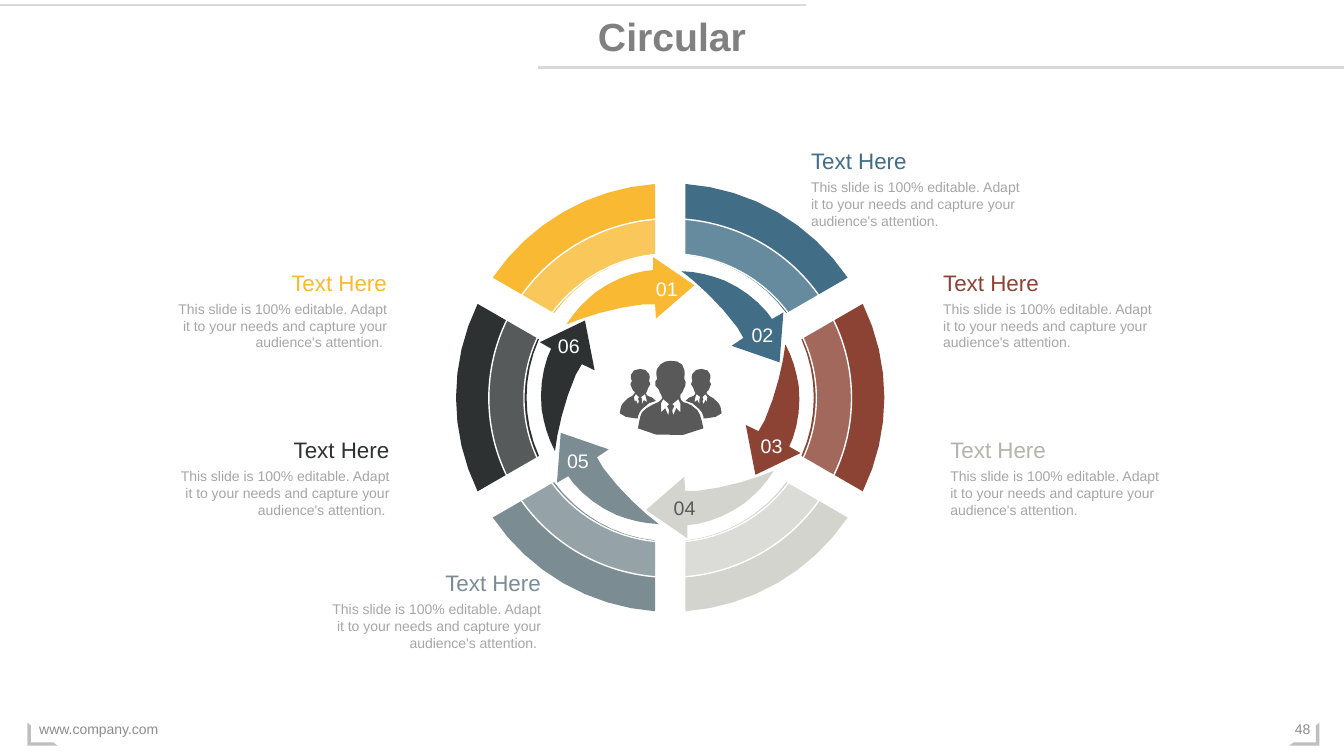
import math

import pptx
import pptx.dml.color
import pptx.enum.shapes
import pptx.enum.text
import pptx.oxml.ns
import pptx.util
from lxml import etree

Cm = pptx.util.Cm
SHAPES = pptx.enum.shapes.MSO_SHAPE
ALIGN = pptx.enum.text.PP_ALIGN
ANCHOR = pptx.enum.text.MSO_ANCHOR
qn = pptx.oxml.ns.qn

COLORS = {
    "yellow": "F9B932", "blue": "416E86", "red": "8D4334", "stone": "D3D4CE",
    "slate": "7B8C93", "black": "2E3131", "stone text": "B3B5AB",
    "white": "FFFFFF", "icon": "595959", "title": "808080", "body": "A6A6A6",
    "footer": "8C8C8C", "rule": "D9D9D9", "corner": "BFBFBF",
}
SLIDE_W, SLIDE_H = 33.87, 19.05
CENTER_X, CENTER_Y = 16.89, 10.02
GRID = 0.0254  # cm per unit of the outlines below
OUTER, INNER, HALF_GAP = 212.5, 142.5, 15
ARC_STEPS = 8
ICON_W, ICON_SHIFT = 101, (-50, -36.5)
MESSAGE = ("This slide is 100% editable. Adapt it to your needs "
           "and capture your audience's attention.")

# Outlines: a pair is a corner, six numbers are a Bézier curve.
ARROW = [
    (-17, -139.5), (24, -111.5), (-14, -78.5), (-15, -92.5), (-27, -92.5),
    (-56, -89.5, -87, -79.5, -103, -72.5), (-95, -85.5, -85, -95.5, -74, -104.5),
    (-59, -115.5, -42, -122.5, -26, -125.5), (-17, -126.5),
]
LAPELS = [
    [(43, 38), (41, 42), (41, 51), (45, 47), (48, 54), (49, 49), (47, 45), (49, 43)],
    [(76, 33), (75, 36), (74, 41), (77, 39), (79, 43), (79, 38), (80, 36)],
    [(85, 33), (82, 36), (83, 38), (82, 40), (83, 43), (85, 39), (86, 41), (87, 36)],
]
SIDE_PERSON = [
    (81, 8), (85, 8, 90, 10, 90, 14), (90, 17, 90, 18, 89, 20),
    (91, 22, 91, 24, 89, 27), (89, 29, 87, 30, 86, 31), (86, 32, 87, 34, 89, 35),
    (91, 36, 94, 37, 98, 42), (100, 44, 100, 46, 101, 52), (99, 55, 92, 57, 86, 57),
    (83, 57), (83, 55), (82, 52, 81, 50, 79, 48), (75, 42, 69, 41, 66, 40),
    (65, 40), (66, 39), (68, 36, 70, 36, 73, 35), (75, 33, 75, 33, 75, 32),
    (74, 29, 73, 29, 73, 27), (69, 25, 71, 21, 72, 20), (71, 17, 71, 15, 72, 13),
    (74, 9, 77, 8, 81, 8),
]
CENTER_PERSON = [
    (50, 0), (57, -1, 64, 3, 64, 9), (65, 13, 64, 14, 64, 18),
    (66, 21, 66, 24, 63, 29), (63, 31, 60, 33, 60, 34), (60, 37, 60, 39, 63, 41),
    (66, 42, 70, 42, 77, 49), (80, 53, 81, 58, 83, 67), (71, 77, 27, 76, 18, 67),
    (19, 62, 20, 54, 22, 51), (25, 47, 33, 43, 38, 41), (42, 38, 42, 38, 42, 36),
    (41, 32, 39, 32, 39, 29), (33, 25, 35, 19, 37, 18), (36, 13, 36, 11, 37, 8),
    (40, 2, 45, 0, 50, 0),
]

# step: colour, heading colour, number colour, number left/top,
# callout edge, callout top, callout alignment
STEPS = [
    ("yellow", "yellow", "white", 16.26, 6.86, 10, 6.65, ALIGN.RIGHT),
    ("blue", "blue", "white", 18.67, 8, 20.19, 3.58, ALIGN.LEFT),
    ("red", "red", "white", 18.9, 10.82, 23.52, 6.65, ALIGN.LEFT),
    ("stone", "stone text", "icon", 16.71, 12.37, 23.7, 10.87, ALIGN.LEFT),
    ("slate", "slate", "white", 14.02, 11.18, 13.88, 14.22, ALIGN.RIGHT),
    ("black", "black", "white", 13.79, 8.28, 10.06, 10.87, ALIGN.RIGHT),
]


def rgb(color):
    return pptx.dml.color.RGBColor.from_string(COLORS[color])


def flatten(outline, steps):
    """Turn corners and Bézier curves into a list of points."""
    points = []
    for part in outline:
        if len(part) == 2:
            points.append(part)
            continue
        knots = [points[-1], part[:2], part[2:4], part[4:]]
        for step in range(1, steps + 1):
            t = step / steps
            weights = [math.comb(3, k) * t**k * (1 - t)**(3 - k) for k in range(4)]
            points.append(tuple(sum(w * knot[axis] for w, knot in zip(weights, knots))
                                for axis in (0, 1)))
    return points


def rotate(points, degrees):
    c, s = math.cos(math.radians(degrees)), math.sin(math.radians(degrees))
    return [(x * c - y * s, x * s + y * c) for x, y in points]


def mirror(points):
    return [(ICON_W - x, y) for x, y in points]


def ring_segment():
    """A sixth of the ring, centred on the x axis, with parallel gaps."""
    points = []
    for radius, direction in ((OUTER, 1), (INNER, -1)):
        half = math.pi / 6 - math.asin(HALF_GAP / radius)
        for step in range(ARC_STEPS + 1):
            angle = direction * half * (2 * step / ARC_STEPS - 1)
            points.append((radius * math.cos(angle), radius * math.sin(angle)))
    return points


class CircularSlide:
    font = "Arial"

    def __init__(self, deck):
        self.slide = deck.slides.add_slide(deck.slide_layouts[6])
        self.shapes = self.slide.shapes

    def text(self, content, left, top, width, height, *, size, color,
             align=ALIGN.LEFT, bold=False, anchor=ANCHOR.TOP):
        box = self.shapes.add_textbox(Cm(left), Cm(top), Cm(width), Cm(height))
        frame = box.text_frame
        frame.word_wrap = True
        frame.vertical_anchor = anchor
        paragraph = frame.paragraphs[0]
        paragraph.alignment = align
        run = paragraph.add_run()
        run.text = content
        run.font.name, run.font.size = self.font, pptx.util.Pt(size)
        run.font.bold, run.font.color.rgb = bold, rgb(color)

    def rule(self, start, end, y):
        line = self.shapes.add_connector(
            pptx.enum.shapes.MSO_CONNECTOR.STRAIGHT, Cm(start), Cm(y), Cm(end), Cm(y))
        line.line.color.rgb = rgb("rule")
        line.line.width = pptx.util.Pt(1.5)
        etree.SubElement(line.element.spPr, qn("a:effectLst"))

    def preset(self, kind, left, top, width, height, color, adjustments):
        shape = self.shapes.add_shape(kind, Cm(left), Cm(top), Cm(width), Cm(height))
        for index, value in enumerate(adjustments):
            shape.adjustments[index] = value
        return self.paint(shape, color)

    def outline(self, contours, color):
        """Draw closed contours, given in grid units around the centre."""
        contours = [[(Cm(CENTER_X + x * GRID), Cm(CENTER_Y + y * GRID))
                     for x, y in contour] for contour in contours]
        builder = self.shapes.build_freeform(*contours[0][0])
        for index, contour in enumerate(contours):
            if index:
                builder.move_to(*contour[0])
            builder.add_line_segments(contour[1:], close=True)
        return self.paint(builder.convert_to_shape(), color)

    def paint(self, shape, color):
        shape.shadow.inherit = False
        shape.fill.solid()
        shape.fill.fore_color.rgb = rgb(color)
        shape.line.fill.background()
        return shape

    def corner(self, left, flip):
        frame = self.preset(SHAPES.HALF_FRAME, left, 18.21, 0.76, 0.58, "corner",
                            (0.14, 0.15))
        frame.rotation = 180
        if flip:
            frame.element.spPr.find(qn("a:xfrm")).set("flipH", "1")

    def callout(self, color, edge, top, align):
        on_left = align == ALIGN.RIGHT
        message = MESSAGE + " " if on_left else MESSAGE
        for content, dy, width, height, size, tint in (
                ("Text Here", 0, 4.47, 0.94, 16, color),
                (message, 0.79, 5.84, 1.55, 10, "body")):
            self.text(content, edge - width if on_left else edge, top + dy,
                      width, height, size=size, color=tint, align=align)

    def people(self):
        side = flatten(SIDE_PERSON, 2)
        contours = [*LAPELS, *map(mirror, LAPELS), side, mirror(side),
                    flatten(CENTER_PERSON, 3)]
        dx, dy = ICON_SHIFT
        self.outline([[(x + dx, y + dy) for x, y in contour] for contour in contours],
                     "icon")

    def glass_ring(self):
        """Lighten the inner half of the ring with translucent white."""
        ring = self.preset(SHAPES.DONUT, 12.32, 5.51, 9.14, 9.04, "white", (0.098,))
        white = ring.element.spPr.find(qn("a:solidFill"))[0]
        etree.SubElement(white, qn("a:alpha"), val="20000")
        ring.line.color.rgb = rgb("white")
        ring.line.width = pptx.util.Pt(1)


def main():
    deck = pptx.Presentation()
    deck.slide_width, deck.slide_height = Cm(SLIDE_W), Cm(SLIDE_H)
    page = CircularSlide(deck)
    page.rule(0, 20.32, 0.13)
    page.rule(13.55, SLIDE_W, 1.7)
    page.corner(32.49, flip=False)
    page.corner(0.69, flip=True)
    footer = {"size": 10, "color": "footer", "anchor": ANCHOR.MIDDLE}
    page.text("www.company.com", 0.74, 17.86, 11.43, 1.02, **footer)
    page.text("48", 32.2, 17.86, 1.07, 1.02, align=ALIGN.RIGHT, **footer)

    arrow, segment = flatten(ARROW, 4), ring_segment()
    for index, (color, heading, number, left, top, edge, callout_top, align) in enumerate(STEPS):
        page.callout(heading, edge, callout_top, align)
        page.outline([rotate(arrow, 60 * index)], color)
        page.outline([rotate(segment, 60 * index - 120)], color)
        page.text(f"{index + 1:02}", left, top, 1.09, 0.86, size=14, color=number,
                  align=ALIGN.CENTER)
    page.people()
    page.glass_ring()
    page.text("Circular", 0, 0.18, SLIDE_W, 1.45, size=28, color="title",
              align=ALIGN.CENTER, bold=True)
    deck.save("out.pptx")


if __name__ == "__main__":
    main()
